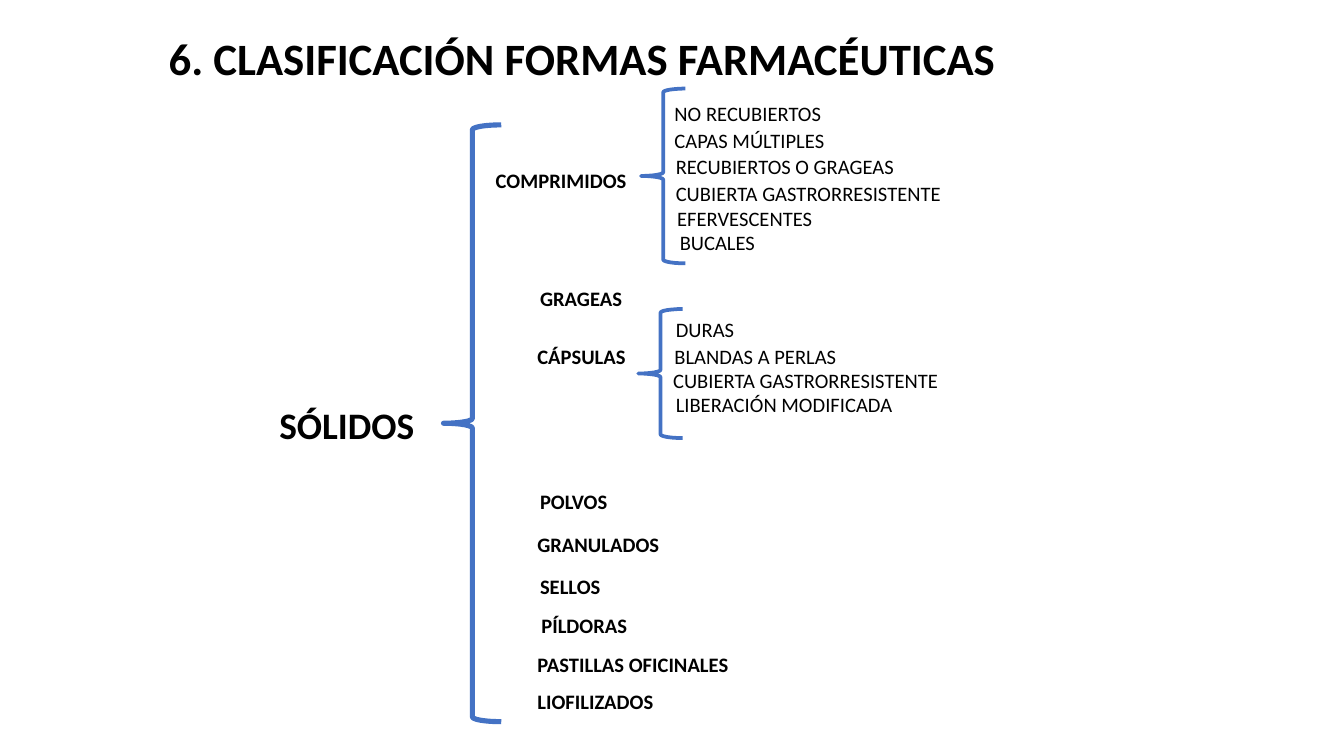
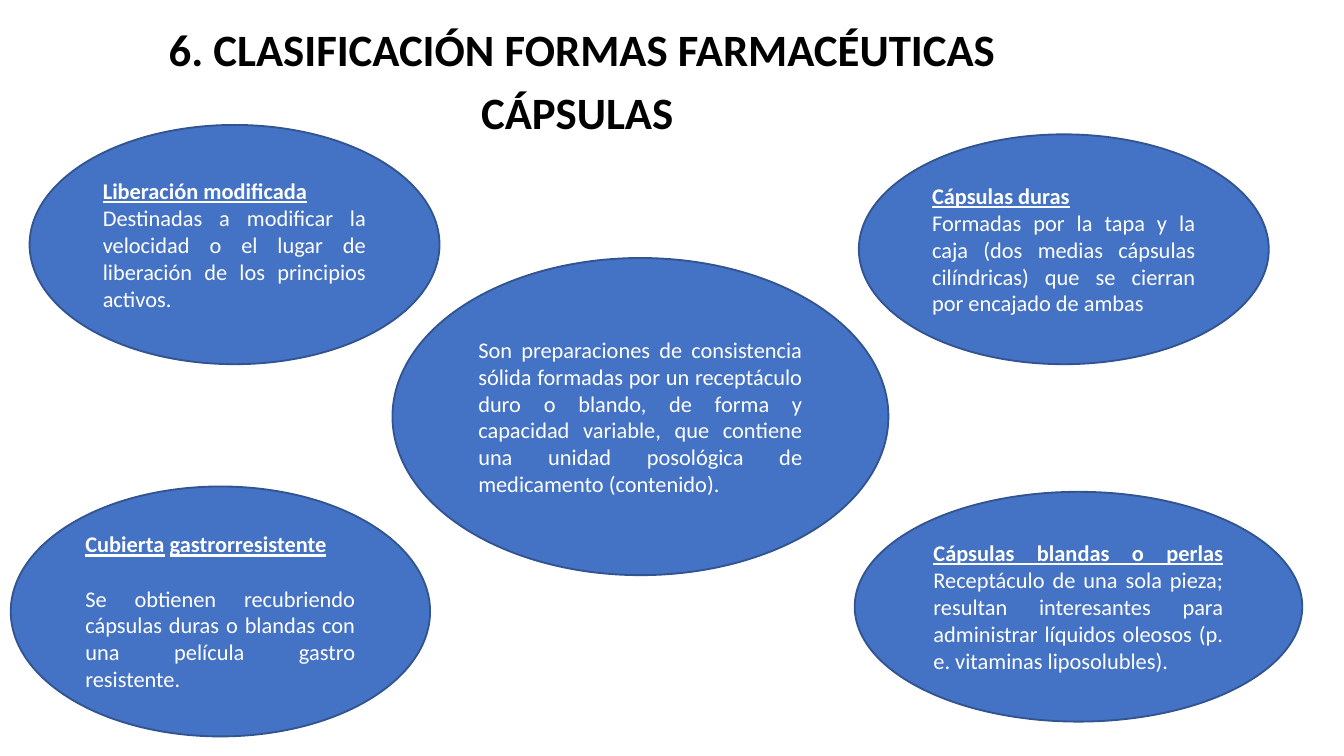
from dataclasses import dataclass

from pptx import Presentation
from pptx.dml.color import RGBColor
from pptx.enum.shapes import MSO_SHAPE as Preset
from pptx.enum.text import MSO_ANCHOR as Anchor, MSO_AUTO_SIZE as AutoSize, PP_ALIGN as Align
from pptx.shapes.autoshape import Shape
from pptx.slide import Slide
from pptx.text.text import TextFrame, _Paragraph as Paragraph
from pptx.util import Emu, Pt

PX = 9144  # 100 px to the inch
PAGE_WIDTH = 1000
FONT = "Calibri"
COLORS = {"text": "000000", "blue": "4472C4", "edge": "325491", "white": "FFFFFF"}
TITLE = "6. CLASIFICACIÓN FORMAS FARMACÉUTICAS"
TITLE_ONLY = 5


@dataclass(frozen=True)
class Area:
    left: int
    top: int
    width: int
    height: int

    def emu(self) -> tuple[Emu, Emu, Emu, Emu]:
        return (Emu(self.left * PX), Emu(self.top * PX),
                Emu(self.width * PX), Emu(self.height * PX))


@dataclass(frozen=True)
class Label:
    text: str
    area: Area
    size: int = 11
    bold: bool = False
    align: Align = Align.LEFT


@dataclass(frozen=True)
class Brace:
    area: Area
    weight: float


@dataclass(frozen=True)
class Span:
    text: str
    heading: bool = False


@dataclass(frozen=True)
class Bubble:
    area: Area
    paragraphs: tuple[tuple[Span, ...], ...]
    gap: float = 0


def form(text: str, left: int, top: int, width: int = 113) -> Label:
    return Label(text, Area(left, top, width, 29), bold=True)


def variant(text: str, left: int, top: int, width: int = 316) -> Label:
    return Label(text, Area(left, top, width, 29))


SOLIDS = (
    Label("SÓLIDOS", Area(198, 294, 183, 44), size=20, bold=True),
    Brace(Area(330, 93, 43, 444), 2.75),
    form("COMPRIMIDOS", 359, 120, 179),
    Brace(Area(477, 66, 33, 130), 2),
    variant("NO RECUBIERTOS", 492, 70, 179),
    variant("CAPAS MÚLTIPLES", 492, 90, 179),
    variant("RECUBIERTOS O GRAGEAS", 493, 110),
    variant("CUBIERTA GASTRORRESISTENTE", 493, 130),
    variant("EFERVESCENTES", 494, 148),
    variant("BUCALES", 496, 166),
    form("GRAGEAS", 392, 208),
    form("CÁPSULAS", 390, 251),
    Brace(Area(475, 230, 33, 96), 2),
    variant("DURAS", 493, 231, 179),
    variant("BLANDAS A PERLAS", 492, 251),
    variant("CUBIERTA GASTRORRESISTENTE", 491, 269),
    variant("LIBERACIÓN MODIFICADA", 493, 287),
    form("POLVOS", 392, 359),
    form("GRANULADOS", 390, 391),
    form("SELLOS", 392, 422),
    form("PÍLDORAS", 393, 451),
    form("PASTILLAS OFICINALES", 390, 480, 185),
    form("LIOFILIZADOS", 390, 508, 185),
)

SUBTITLE = Label("CÁPSULAS", Area(312, 58, 235, 50), size=24, bold=True, align=Align.CENTER)

BUBBLES = (
    Bubble(Area(292, 192, 369, 236), ((Span(
        "Son preparaciones de consistencia sólida formadas por un receptáculo duro o blando, "
        "de forma y capacidad variable, que contiene una unidad posológica de medicamento "
        "(contenido)."),),)),
    Bubble(Area(636, 366, 333, 171), ((
        Span("Cápsulas blandas o perlas ", heading=True),
        Span("Receptáculo de una sola pieza; resultan interesantes para administrar líquidos "
             "oleosos (p. e. vitaminas liposolubles).")),)),
    Bubble(Area(639, 100, 305, 171), (
        (Span("Cápsulas duras", heading=True),),
        (Span("Formadas por la tapa y la caja (dos medias cápsulas cilíndricas) que se cierran "
              "por encajado de ambas"),))),
    Bubble(Area(22, 93, 305, 178), (
        (Span("Liberación modificada", heading=True),),
        (Span("Destinadas a modificar la velocidad o el lugar de liberación de los principios "
              "activos."),))),
    Bubble(Area(8, 362, 312, 186), (
        (Span("Cubierta", heading=True), Span(" "), Span("gastrorresistente", heading=True)),
        (Span("Se obtienen recubriendo cápsulas duras o blandas con una película gastro "
              "resistente."),)), gap=14.6),
)


def color(name: str) -> RGBColor:
    return RGBColor.from_string(COLORS[name])


def style(para: Paragraph, size: int, ink: str, align: Align) -> None:
    para.alignment = align
    para.font.name = FONT
    para.font.size = Pt(size)
    para.font.color.rgb = color(ink)


def write_label(frame: TextFrame, label: Label) -> None:
    frame.word_wrap = True
    frame.auto_size = AutoSize.SHAPE_TO_FIT_TEXT
    frame.vertical_anchor = Anchor.TOP
    frame.text = label.text
    para = frame.paragraphs[0]
    style(para, label.size, "text", label.align)
    para.font.bold = label.bold


def add_label(page: Slide, label: Label) -> None:
    box = page.shapes.add_textbox(*label.area.emu())
    write_label(box.text_frame, label)


def add_outlined(page: Slide, preset: Preset, area: Area, line: str, weight: float) -> Shape:
    shape = page.shapes.add_shape(preset, *area.emu())
    shape.shadow.inherit = False
    shape.line.color.rgb = color(line)
    shape.line.width = Pt(weight)
    return shape


def add_brace(page: Slide, brace: Brace) -> None:
    shape = add_outlined(page, Preset.LEFT_BRACE, brace.area, "blue", brace.weight)
    shape.fill.background()


def add_bubble(page: Slide, bubble: Bubble) -> None:
    shape = add_outlined(page, Preset.OVAL, bubble.area, "edge", 1)
    shape.fill.solid()
    shape.fill.fore_color.rgb = color("blue")
    frame = shape.text_frame
    frame.word_wrap = True
    frame.vertical_anchor = Anchor.MIDDLE
    for index, spans in enumerate(bubble.paragraphs):
        para = frame.add_paragraph() if index else frame.paragraphs[0]
        if index and bubble.gap:
            para.space_before = Pt(bubble.gap)
        style(para, 12, "white", Align.JUSTIFY)
        for span in spans:
            run = para.add_run()
            run.text = span.text
            if span.heading:
                run.font.bold = True
                run.font.underline = True


def add_page(deck: Presentation, title_top: int) -> Slide:
    page = deck.slides.add_slide(deck.slide_layouts[TITLE_ONLY])
    title = page.shapes.title
    area = Area(37, title_top, 792, 50)
    title.left, title.top, title.width, title.height = area.emu()
    write_label(title.text_frame, Label(TITLE, area, size=24, bold=True, align=Align.CENTER))
    return page


def main() -> None:
    deck = Presentation()
    deck.slide_width = Emu(PAGE_WIDTH * PX)
    deck.slide_height = Emu(PAGE_WIDTH * PX * 9 // 16)

    solids = add_page(deck, title_top=18)
    for item in SOLIDS:
        if isinstance(item, Brace):
            add_brace(solids, item)
        else:
            add_label(solids, item)

    capsules = add_page(deck, title_top=11)
    add_label(capsules, SUBTITLE)
    for bubble in BUBBLES:
        add_bubble(capsules, bubble)

    deck.save("out.pptx")


if __name__ == "__main__":
    main()
